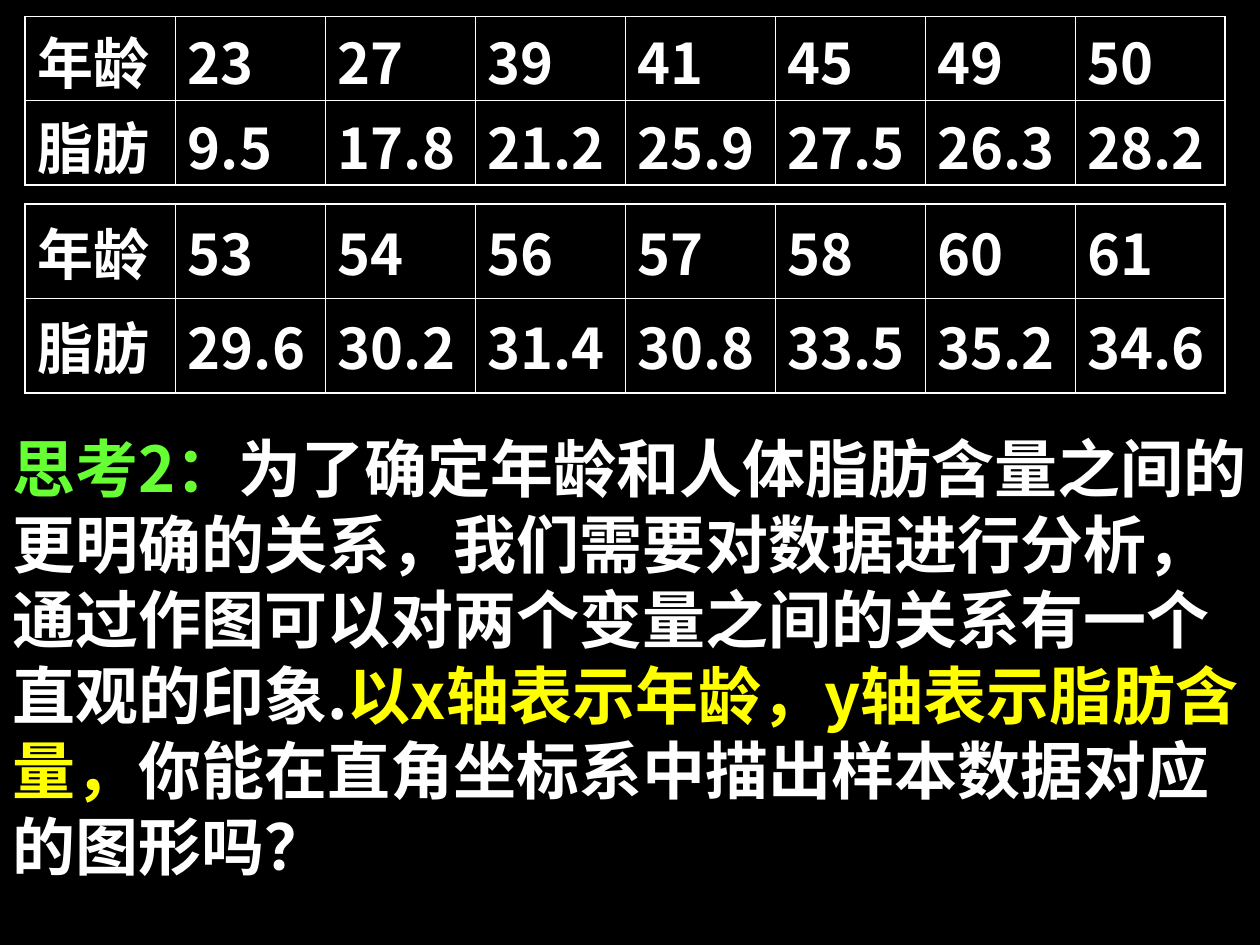
"""Build a slide with two age and body-fat tables and a question below them."""
from lxml import etree
from pptx import Presentation
from pptx.dml.color import RGBColor
from pptx.enum import text
from pptx.oxml import ns
from pptx.util import Pt

FONT = "Noto Sans CJK SC"
WHITE, GREEN, YELLOW = "FFFFFF", "66FF33", "FFFF00"
THICK, THIN = 1.08, 0.45
LEFT, COL_W = 14.4, 85.7
LINE_H, TEXT_DROP = 38.4, 11.6

TABLES = [
    (9.36, 48.24, [
        ["年龄", "23", "27", "39", "41", "45", "49", "50"],
        ["脂肪", "9.5", "17.8", "21.2", "25.9", "27.5", "26.3", "28.2"],
    ]),
    (116.64, 54, [
        ["年龄", "53", "54", "56", "57", "58", "60", "61"],
        ["脂肪", "29.6", "30.2", "31.4", "30.8", "33.5", "35.2", "34.6"],
    ]),
]
QUESTION = [
    ("思考2：", GREEN),
    ("为了确定年龄和人体脂肪含量之间的更明确的关系，我们需要对数据进行分析，"
     "通过作图可以对两个变量之间的关系有一个直观的印象.", WHITE),
    ("以x轴表示年龄，y轴表示脂肪含量，", YELLOW),
    ("你能在直角坐标系中描出样本数据对应的图形吗？", WHITE),
]


def rgb(value):
    return RGBColor.from_string(value)


def add_run(p, words, size, color):
    r = p.add_run()
    r.text = words
    r.font.size, r.font.bold, r.font.name = Pt(size), True, FONT
    r.font.color.rgb = rgb(color)
    etree.SubElement(r.font._element, ns.qn("a:ea"), typeface=FONT)


def set_borders(cell, widths):
    tcPr = cell._tc.get_or_add_tcPr()
    for side, width in zip("LRTB", widths):
        ln = etree.SubElement(tcPr, ns.qn(f"a:ln{side}"), w=str(int(Pt(width))))
        fill = etree.SubElement(ln, ns.qn("a:solidFill"))
        etree.SubElement(fill, ns.qn("a:srgbClr"), val=WHITE)


def add_data_table(s, top, row_h, rows):
    n_rows, n_cols = len(rows), len(rows[0])
    table = s.shapes.add_table(n_rows, n_cols, Pt(LEFT), Pt(top),
                               Pt(COL_W * n_cols), Pt(row_h * n_rows)).table
    table.first_row = table.horz_banding = False
    for col in table.columns:
        col.width = Pt(COL_W)
    for i, row in enumerate(rows):
        table.rows[i].height = Pt(row_h)
        for j, value in enumerate(row):
            cell = table.cell(i, j)
            edges = (j == 0, j == n_cols - 1, i == 0, i == n_rows - 1)
            set_borders(cell, [THICK if edge else THIN for edge in edges])
            cell.fill.background()
            cell.margin_left = cell.margin_right = Pt(7.2)
            cell.margin_top = Pt(min(TEXT_DROP, row_h - LINE_H))
            cell.margin_bottom = Pt(0)
            p = cell.text_frame.paragraphs[0]
            p.line_spacing = Pt(LINE_H)
            add_run(p, value, 32, WHITE)


def main():
    prs = Presentation()
    prs.slide_width, prs.slide_height = Pt(720), Pt(540)
    s = prs.slides.add_slide(prs.slide_layouts[6])
    s.background.fill.solid()
    s.background.fill.fore_color.rgb = rgb("000000")

    sp = s.shapes.add_textbox(Pt(0), Pt(241.92), Pt(720), Pt(266.4))
    tf = sp.text_frame
    tf.word_wrap = True
    tf.auto_size = text.MSO_AUTO_SIZE.SHAPE_TO_FIT_TEXT
    p = tf.paragraphs[0]
    p.line_spacing = Pt(43.2)
    p._p.get_or_add_pPr().set("hangingPunct", "0")
    for words, color in QUESTION:
        add_run(p, words, 36, color)

    for top, row_h, rows in TABLES:
        add_data_table(s, top, row_h, rows)
    prs.save("out.pptx")


if __name__ == "__main__":
    main()
